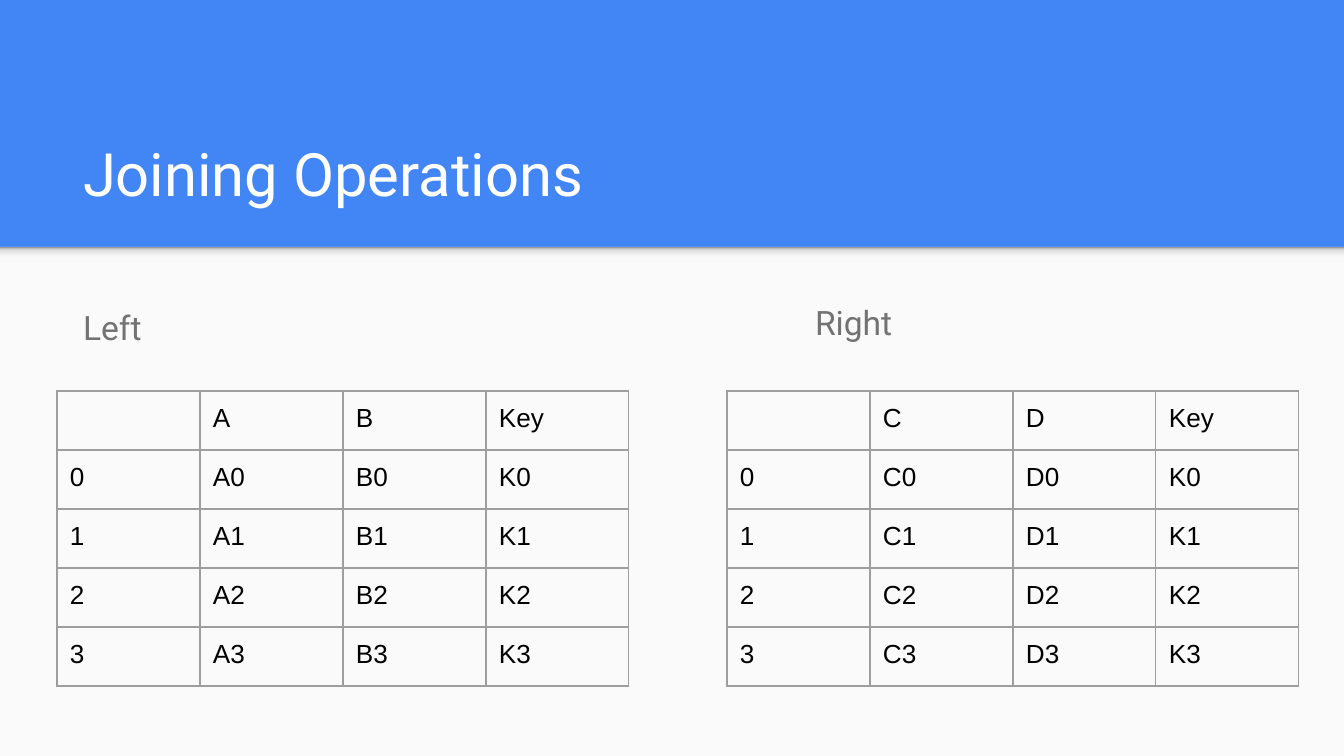
"""Build the slide on joining operations with its left and right tables."""
from dataclasses import dataclass

from lxml.etree import SubElement
from pptx import Presentation
from pptx.dml.color import RGBColor
from pptx.enum.shapes import MSO_SHAPE
from pptx.enum.text import MSO_ANCHOR, PP_ALIGN
from pptx.oxml.ns import qn
from pptx.util import Emu, Pt


@dataclass(frozen=True)
class Theme:
    band: str = "4285F4"
    panel: str = "FAFAFA"
    title: str = "FFFFFF"
    label: str = "737373"
    cell: str = "000000"
    border: str = "9E9E9E"
    shade: tuple = ((0, "F9F9F9"), (36, "F9F9F9"), (80, "DEDEDE"), (100, "999999"))
    heading_font: str = "Roboto"
    cell_font: str = "Arial"
    title_size: int = 32
    label_size: int = 18
    cell_size: int = 14
    border_width: float = 0.75


THEME = Theme()
WIDTH, HEIGHT, BAND_HEIGHT = 1344, 756, 247
INSET, COL_WIDTH, ROW_HEIGHT, TABLE_TOP = 13, 143, 59, 391


def px(n):
    return Emu(round(n * 914400 / 134.4))


def box(*lengths):
    return [px(n) for n in lengths]


def format_runs(p, font, size, color):
    for r in p.runs:
        r.font.name = font
        r.font.size = Pt(size)
        r.font.bold = False
        r.font.color.rgb = RGBColor.from_string(color)


def set_insets(frame):
    frame.margin_left = frame.margin_right = px(INSET)
    frame.margin_top = frame.margin_bottom = px(INSET)


def add_background(slide):
    fill = slide.background.fill
    fill.solid()
    fill.fore_color.rgb = RGBColor.from_string(THEME.band)


def add_rect(slide, top, height):
    sp = slide.shapes.add_shape(MSO_SHAPE.RECTANGLE, *box(0, top, WIDTH, height))
    sp.shadow.inherit = False
    sp.line.fill.background()
    return sp


def add_panel(slide):
    sp = add_rect(slide, BAND_HEIGHT, HEIGHT - BAND_HEIGHT)
    sp.fill.solid()
    sp.fill.fore_color.rgb = RGBColor.from_string(THEME.panel)


def add_band_shade(slide):
    sp = add_rect(slide, BAND_HEIGHT, 16)
    sp.fill.gradient()
    sp.fill.gradient_angle = 90
    stops = sp._element.spPr.find(qn("a:gradFill")).find(qn("a:gsLst"))
    for stop in list(stops):
        stops.remove(stop)
    for pos, color in THEME.shade:
        stop = SubElement(stops, qn("a:gs"), pos=str(pos * 1000))
        SubElement(stop, qn("a:srgbClr"), val=color)


def add_title(slide, text):
    sp = slide.shapes.title
    sp.left, sp.top, sp.width, sp.height = box(70, 109, 1208, 113)
    tf = sp.text_frame
    tf.text = text
    tf.vertical_anchor = MSO_ANCHOR.BOTTOM
    set_insets(tf)
    p = tf.paragraphs[0]
    p.alignment = PP_ALIGN.LEFT
    format_runs(p, THEME.heading_font, THEME.title_size, THEME.title)


def add_label(slide, text, left, top):
    tf = slide.shapes.add_textbox(*box(left, top, 448, 89)).text_frame
    tf.word_wrap = True
    set_insets(tf)
    tf.text = text
    p = tf.paragraphs[0]
    p.line_spacing = 1.15
    p.space_after = Pt(16)
    format_runs(p, THEME.heading_font, THEME.label_size, THEME.label)


def add_borders(cell):
    tc_pr = cell._tc.get_or_add_tcPr()
    for side in ("lnL", "lnR", "lnT", "lnB"):
        ln = SubElement(tc_pr, qn(f"a:{side}"), w=str(Pt(THEME.border_width)))
        fill = SubElement(ln, qn("a:solidFill"))
        SubElement(fill, qn("a:srgbClr"), val=THEME.border)


def fill_cell(cell, text):
    add_borders(cell)
    cell.fill.background()
    set_insets(cell)
    cell.text = text
    p = cell.text_frame.paragraphs[0]
    format_runs(p, THEME.cell_font, THEME.cell_size, THEME.cell)
    p._p.get_or_add_endParaRPr().set("sz", str(THEME.cell_size * 100))


def add_data_table(slide, left, rows):
    n_rows, n_cols = len(rows), len(rows[0])
    size = n_cols * COL_WIDTH, n_rows * ROW_HEIGHT
    table = slide.shapes.add_table(n_rows, n_cols, *box(left, TABLE_TOP, *size)).table
    table.first_row = table.horz_banding = False
    for i, row in enumerate(rows):
        for j, text in enumerate(row):
            fill_cell(table.cell(i, j), text)


def keyed_rows(first, second):
    header = ["", first, second, "Key"]
    return [header] + [[f"{i}", f"{first}{i}", f"{second}{i}", f"K{i}"] for i in range(4)]


def main():
    prs = Presentation()
    prs.slide_width, prs.slide_height = box(WIDTH, HEIGHT)
    slide = prs.slides.add_slide(prs.slide_layouts[5])
    add_background(slide)
    add_panel(slide)
    add_band_shade(slide)
    add_title(slide, "Joining Operations")
    add_label(slide, "Left", 70, 288)
    add_data_table(slide, 57, keyed_rows("A", "B"))
    add_label(slide, "Right", 802, 283)
    add_data_table(slide, 727, keyed_rows("C", "D"))
    prs.save("out.pptx")


if __name__ == "__main__":
    main()
